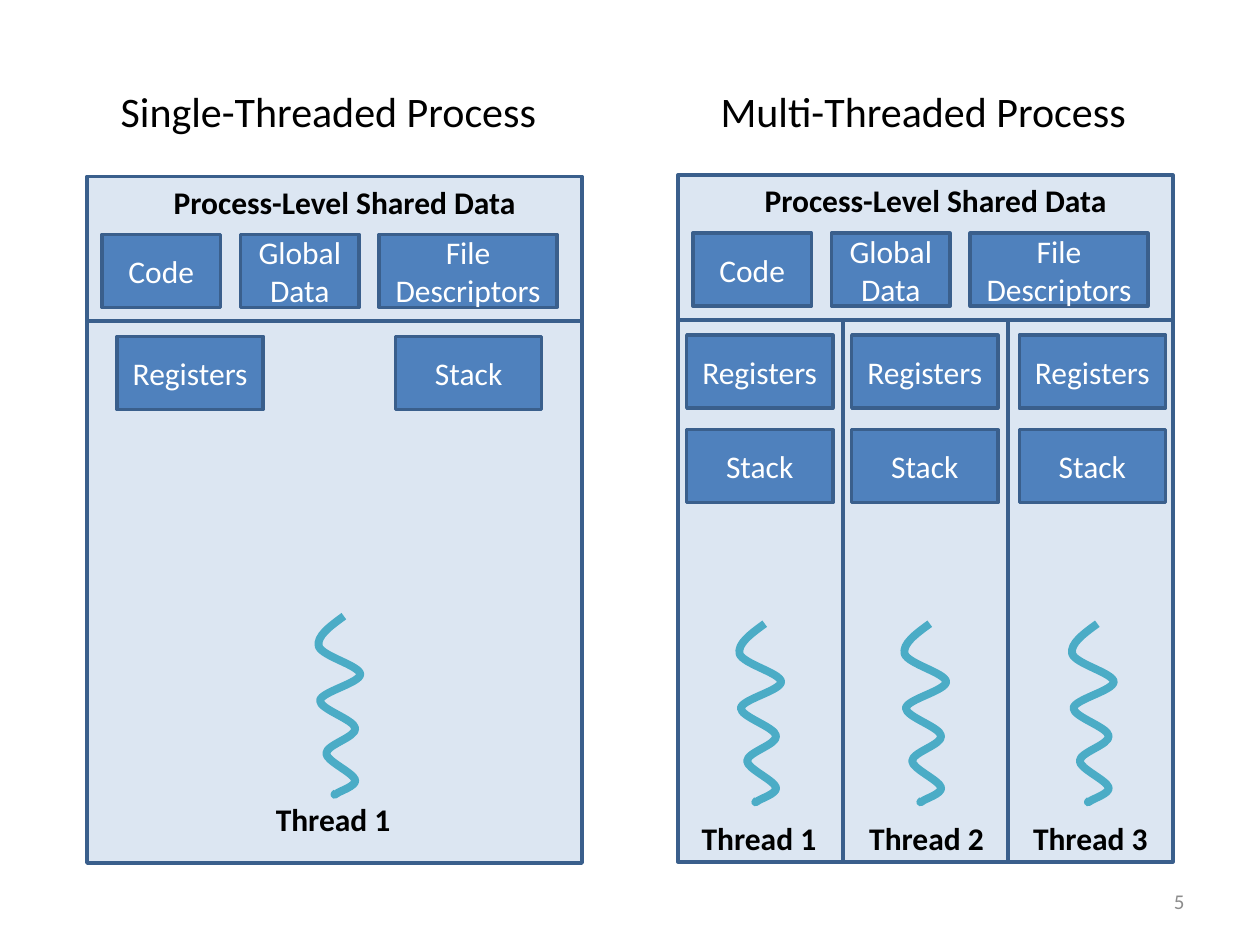
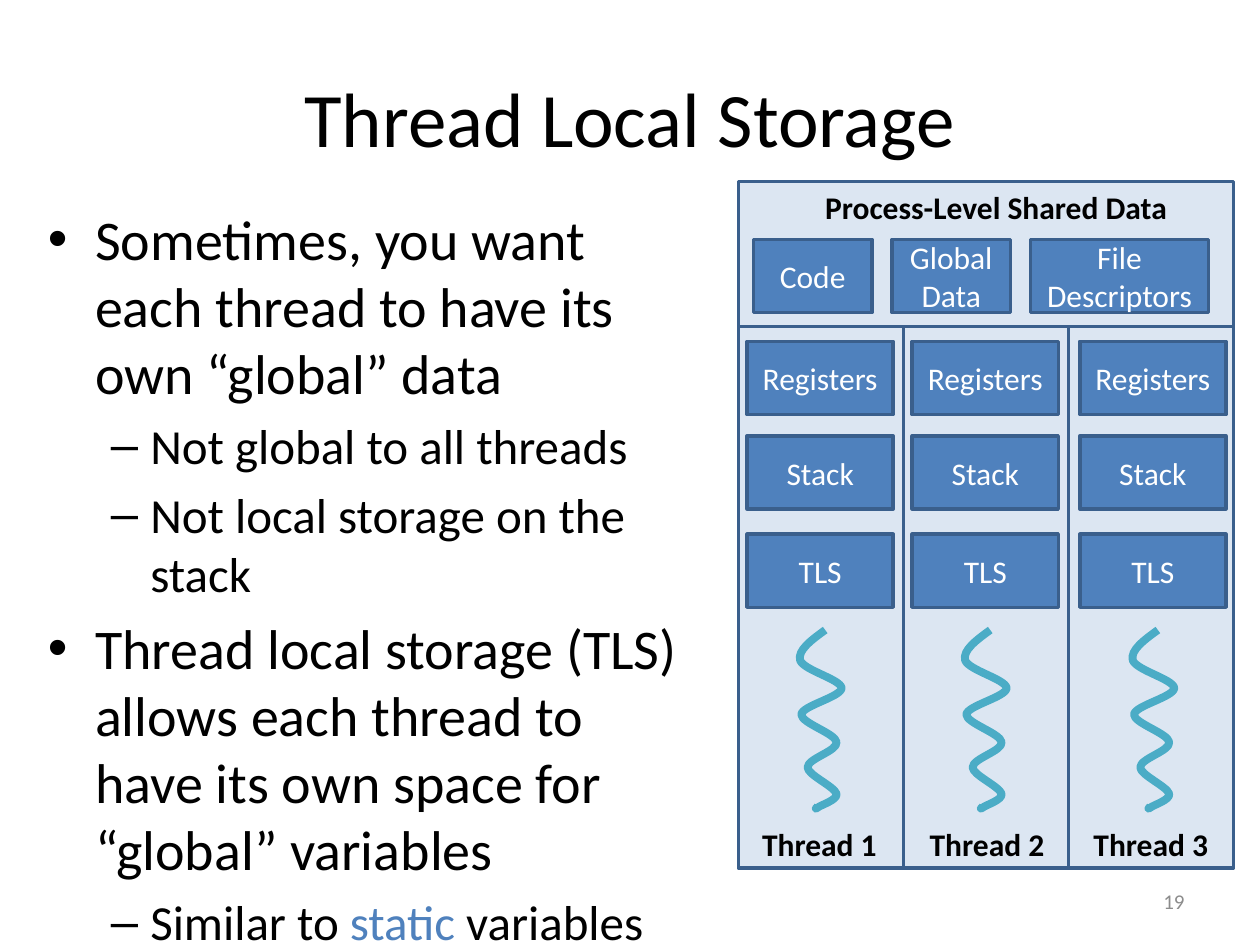
from lxml.etree import SubElement
from pptx import Presentation
from pptx.dml.color import RGBColor
from pptx.enum.shapes import MSO_SHAPE
from pptx.enum.text import MSO_ANCHOR, MSO_AUTO_SIZE, PP_ALIGN
from pptx.oxml.ns import qn
from pptx.util import Inches, Pt

FONT = "Calibri"
BLACK = RGBColor(0x00, 0x00, 0x00)
WHITE = RGBColor(0xFF, 0xFF, 0xFF)
GREY = RGBColor(0x8C, 0x8C, 0x8C)
PALE = RGBColor(0xDC, 0xE6, 0xF2)
BLUE = RGBColor(0x4F, 0x81, 0xBD)
OUTLINE = RGBColor(0x3A, 0x5F, 0x8C)
TEAL = RGBColor(0x4B, 0xAC, 0xC6)

LABEL = {"size": Pt(18), "bold": True}
BOX_TEXT = {"size": Pt(18), "color": WHITE}
HEADING = {"size": Pt(24)}
NUMBER = {"size": Pt(12), "color": GREY}
TITLE = {"size": Pt(44)}
BULLET_SIZES = [Pt(32), Pt(28)]

# Process diagram, in inches from its top left corner
PROCESS_WIDTH, SHARED_HEIGHT, THREAD_HEIGHT = 3.93, 1.15, 4.3
COLUMN_WIDTH = PROCESS_WIDTH / 3
SHARED_BOXES = [("Code", 0.12, 0.94), ("Global Data", 1.22, 0.94),
                ("File Descriptors", 2.32, 1.41)]
BOX_WIDTH, BOX_HEIGHT = 1.16, 0.58
ROW_TOPS = [1.27, 2.02, 2.8]
# For each thread: left of its boxes and of its label
THREADS = [(0.07, 0.09), (1.38, 1.42), (2.71, 2.72)]

# Bezier segments of the thread symbol, in inches from its start
SQUIGGLE = [
    ((-0.11, 0.08), (-0.22, 0.16), (-0.2, 0.24)),
    ((-0.17, 0.32), (0.12, 0.39), (0.13, 0.46)),
    ((0.13, 0.53), (-0.18, 0.6), (-0.19, 0.67)),
    ((-0.19, 0.74), (0.08, 0.82), (0.09, 0.89)),
    ((0.1, 0.96), (-0.14, 1.02), (-0.14, 1.09)),
    ((-0.14, 1.15), (0.07, 1.24), (0.09, 1.3)),
    ((0.1, 1.35), (-0.04, 1.39), (-0.06, 1.41)),
    ((-0.09, 1.43), (-0.07, 1.41), (-0.06, 1.4)),
]

BULLETS = [
    (0, [("Sometimes, you want each thread to have its own “global” data", BLACK)]),
    (1, [("Not global to all threads", BLACK)]),
    (1, [("Not local storage on the stack", BLACK)]),
    (0, [("Thread local storage (TLS) allows each thread to have its own "
          "space for “global” variables", BLACK)]),
    (1, [("Similar to ", BLACK), ("static", BLUE), (" variables", BLACK)]),
]


def set_all(target, values):
    """Set each named attribute of target."""
    for name, value in values.items():
        setattr(target, name, value)


def add_span(para, text, style):
    """Append a run with the given font values."""
    span = para.add_run()
    span.text = text
    values = {"name": FONT, "color": BLACK, **style}
    span.font.color.rgb = values.pop("color")
    set_all(span.font, values)


def place(shape, left, top, width, height):
    """Move and size a shape, in inches."""
    set_all(shape, {"left": Inches(left), "top": Inches(top),
                    "width": Inches(width), "height": Inches(height)})


def add_text(page, text, area, style, align=PP_ALIGN.LEFT, **frame_values):
    """Add a text box with one paragraph."""
    box = page.shapes.add_textbox(*map(Inches, area))
    set_all(box.text_frame, {"word_wrap": True, **frame_values})
    para = box.text_frame.paragraphs[0]
    para.alignment = align
    add_span(para, text, style)


def add_label(page, text, left, top, width):
    """Add a bold label that does not wrap."""
    add_text(page, text, (left, top, width, 0.4), LABEL,
             word_wrap=False, auto_size=MSO_AUTO_SIZE.SHAPE_TO_FIT_TEXT)


def add_box(page, area, fill, text=None):
    """Add an outlined rectangle, with centred text if given."""
    box = page.shapes.add_shape(MSO_SHAPE.RECTANGLE, *map(Inches, area))
    box.shadow.inherit = False
    box.fill.solid()
    box.fill.fore_color.rgb = fill
    box.line.color.rgb = OUTLINE
    box.line.width = Pt(2)
    if text:
        box.text_frame.vertical_anchor = MSO_ANCHOR.MIDDLE
        para = box.text_frame.paragraphs[0]
        para.alignment = PP_ALIGN.CENTER
        add_span(para, text, BOX_TEXT)


def bend(curve, segments):
    """Turn the straight segments of a freeform into Bezier segments."""
    min_x = min(segment[-1][0] for segment in segments)
    lines = list(curve.element.iter(qn("a:lnTo")))
    for line, segment in zip(lines, segments):
        bezier = SubElement(line.getparent(), qn("a:cubicBezTo"))
        for x, y in segment:
            SubElement(bezier, qn("a:pt"), x=str(Inches(x - min_x)), y=str(Inches(y)))
        line.getparent().remove(line)


def add_squiggle(page, left, top):
    """Draw the wavy thread symbol from its start point."""
    builder = page.shapes.build_freeform(Inches(left), Inches(top))
    builder.add_line_segments(
        [(Inches(left + x), Inches(top + y)) for *_, (x, y) in SQUIGGLE],
        close=False)
    curve = builder.convert_to_shape()
    bend(curve, SQUIGGLE)
    curve.shadow.inherit = False
    curve.fill.background()
    curve.line.color.rgb = TEAL
    curve.line.width = Pt(4.5)


def add_shared_data(page, left, top):
    """Draw the band of data shared by the whole process."""
    add_box(page, (left, top, PROCESS_WIDTH, SHARED_HEIGHT), PALE)
    add_label(page, "Process-Level Shared Data", left + 0.59, top, 2.94)
    for text, offset, width in SHARED_BOXES:
        add_box(page, (left + offset, top + 0.46, width, BOX_HEIGHT), BLUE, text)


def add_single_process(page, left, top):
    """Draw a process with one thread."""
    add_shared_data(page, left, top)
    add_box(page, (left, top + SHARED_HEIGHT, PROCESS_WIDTH, THREAD_HEIGHT), PALE)
    for text, offset in (("Registers", 0.24), ("Stack", 2.45)):
        add_box(page, (left + offset, top + ROW_TOPS[0], BOX_WIDTH, BOX_HEIGHT),
                BLUE, text)
    add_squiggle(page, left + 2.04, top + 3.49)
    add_label(page, "Thread 1", left + 1.4, top + 4.9, 1.12)


def add_multi_process(page, left, top, rows):
    """Draw a process with three threads and the given boxes in each."""
    add_shared_data(page, left, top)
    for index in range(len(THREADS)):
        add_box(page, (left + index * COLUMN_WIDTH, top + SHARED_HEIGHT,
                       COLUMN_WIDTH, THREAD_HEIGHT), PALE)
    for number, (box_left, label_left) in enumerate(THREADS, 1):
        for text, row_top in zip(rows, ROW_TOPS):
            add_box(page, (left + box_left, top + row_top, BOX_WIDTH, BOX_HEIGHT),
                    BLUE, text)
        add_squiggle(page, left + box_left + 0.62, top + 3.56)
        add_label(page, f"Thread {number}", left + label_left, top + 5.06, 1.12)


def add_page_number(page, number):
    """Add the slide number at the bottom right."""
    add_text(page, str(number), (7.17, 6.95, 2.33, 0.4), NUMBER,
             PP_ALIGN.RIGHT, vertical_anchor=MSO_ANCHOR.MIDDLE)


def add_title(page, text):
    """Fill the title placeholder."""
    place(page.shapes.title, 0.5, 0.3, 9, 1.25)
    frame = page.shapes.title.text_frame
    set_all(frame, {"vertical_anchor": MSO_ANCHOR.MIDDLE,
                    "auto_size": MSO_AUTO_SIZE.NONE})
    frame.paragraphs[0].alignment = PP_ALIGN.CENTER
    add_span(frame.paragraphs[0], text, TITLE)


def add_bullets(page, bullets):
    """Fill the body placeholder with a two-level list."""
    body = page.placeholders[1]
    place(body, 0.28, 1.57, 5.28, 5.57)
    frame = body.text_frame
    frame.auto_size = MSO_AUTO_SIZE.NONE
    for index, (level, spans) in enumerate(bullets):
        para = frame.add_paragraph() if index else frame.paragraphs[0]
        para.level = level
        for text, color in spans:
            add_span(para, text, {"size": BULLET_SIZES[level], "color": color})


def build_comparison(deck):
    """Build the slide that compares the two kinds of process."""
    page = deck.slides.add_slide(deck.slide_layouts[6])
    add_page_number(page, 5)
    add_multi_process(page, 5.38, 1.39, ["Registers", "Stack"])
    add_single_process(page, 0.69, 1.4)
    for text, left in (("Single-Threaded Process ", 0.73),
                       ("Multi-Threaded Process ", 5.45)):
        add_text(page, text, (left, 0.63, 3.83, 0.5), HEADING, PP_ALIGN.CENTER,
                 auto_size=MSO_AUTO_SIZE.SHAPE_TO_FIT_TEXT)


def build_local_storage(deck):
    """Build the slide about thread local storage."""
    page = deck.slides.add_slide(deck.slide_layouts[1])
    add_title(page, "Thread Local Storage")
    add_bullets(page, BULLETS)
    add_page_number(page, 19)
    add_multi_process(page, 5.86, 1.44, ["Registers", "Stack", "TLS"])


def main():
    """Build and save the deck."""
    deck = Presentation()
    set_all(deck, {"slide_width": Inches(10), "slide_height": Inches(7.5)})
    build_comparison(deck)
    build_local_storage(deck)
    deck.save("out.pptx")


main()
